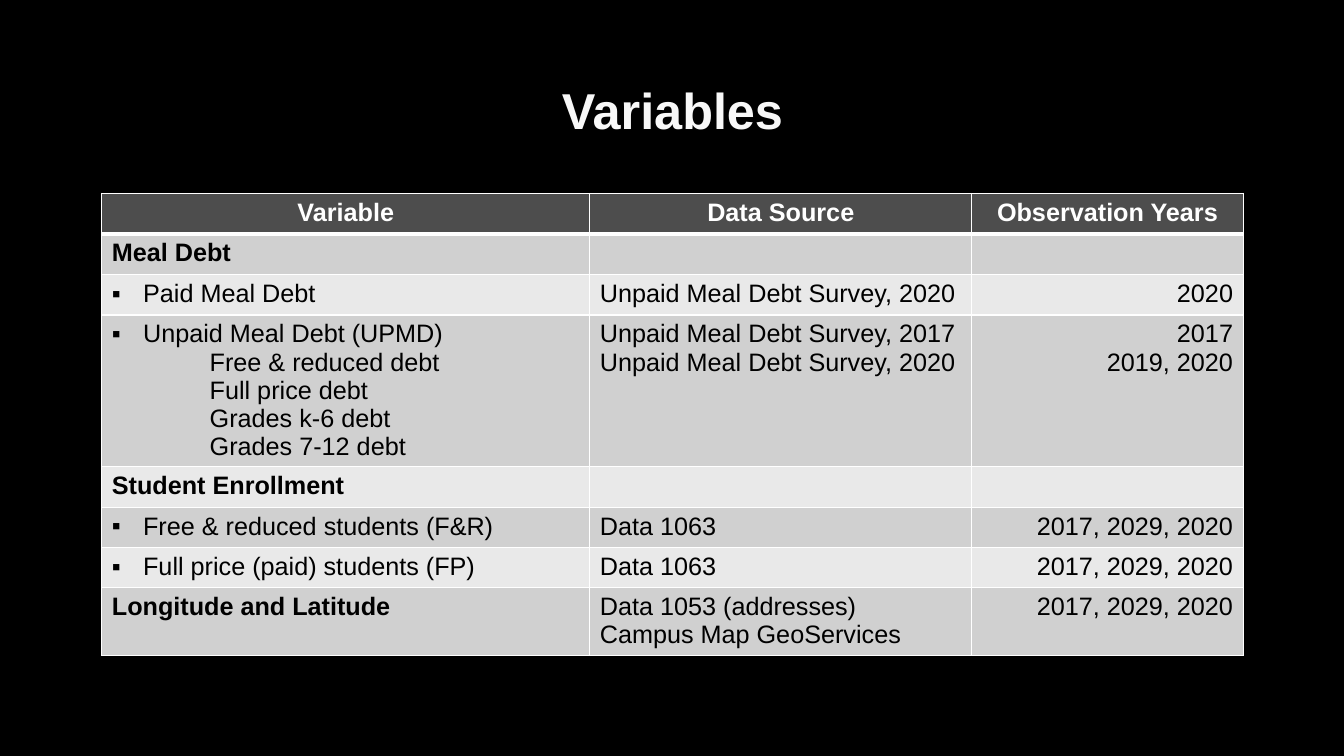
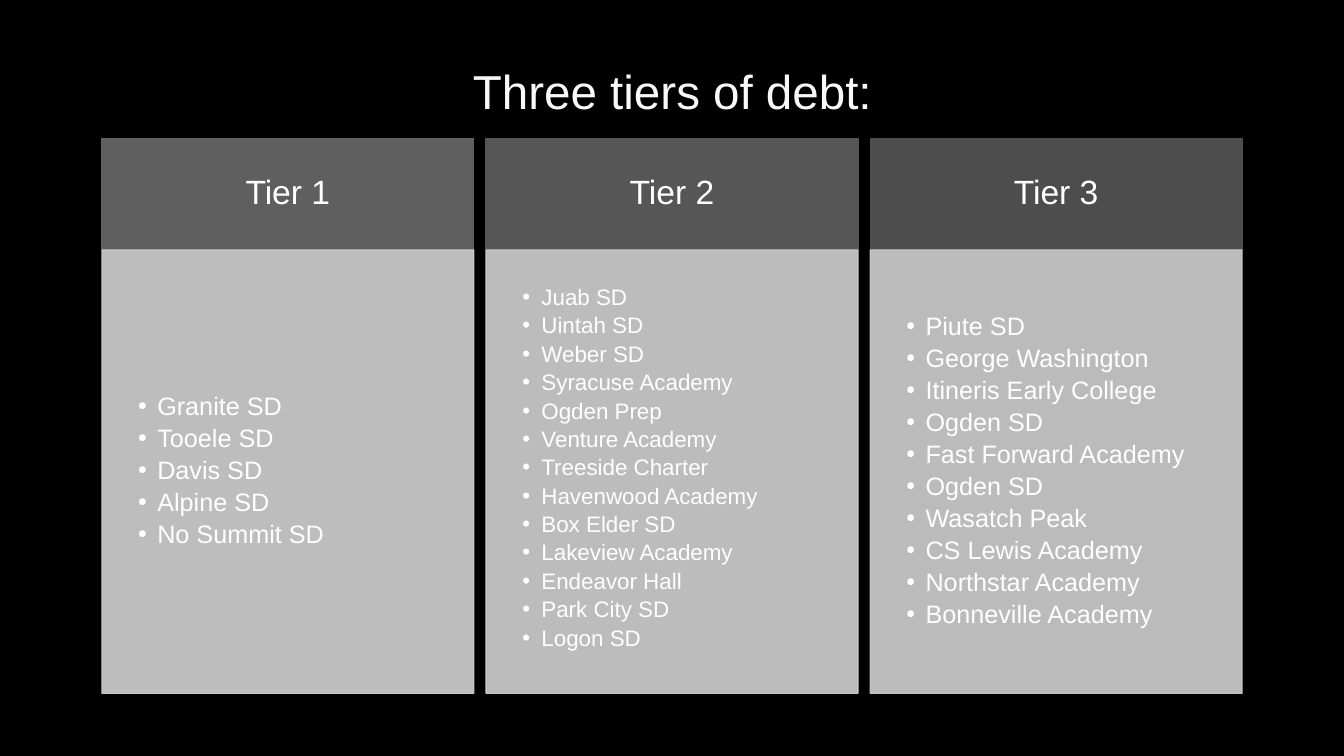
from lxml import etree
from pptx import Presentation
from pptx.dml.color import RGBColor
from pptx.enum.shapes import MSO_SHAPE
from pptx.enum.text import MSO_ANCHOR, MSO_AUTO_SIZE, PP_ALIGN
from pptx.oxml.ns import qn
from pptx.util import Inches, Pt

LEFT, CENTER, RIGHT = PP_ALIGN.LEFT, PP_ALIGN.CENTER, PP_ALIGN.RIGHT
TOP, MIDDLE = MSO_ANCHOR.TOP, MSO_ANCHOR.MIDDLE
NO_FIT = MSO_AUTO_SIZE.NONE
RECT = MSO_SHAPE.RECTANGLE

FONT = "Arial"
BLACK, WHITE, TITLE_COLOR = "000000", "FFFFFF", "F8F8F8"
HEADER_FILL = "4D4D4D"
BAND_FILLS = ["D0D0D0", "E9E9E9"]
MARGIN, CONTENT_WIDTH = 1.01, 11.32

COLUMN_WIDTHS = [4.84, 3.79, 2.69]
COLUMN_ALIGNS = [LEFT, LEFT, RIGHT]
HEADERS = ["Variable", "Data Source", "Observation Years"]
ALL_YEARS = ["2017, 2029, 2020"]
VARIABLES = [
    (True, ["Meal Debt"], [], []),
    (False, ["Paid Meal Debt"], ["Unpaid Meal Debt Survey, 2020"], ["2020"]),
    (False,
     ["Unpaid Meal Debt (UPMD)", "Free & reduced debt", "Full price debt",
      "Grades k-6 debt", "Grades 7-12 debt"],
     ["Unpaid Meal Debt Survey, 2017", "Unpaid Meal Debt Survey, 2020"],
     ["2017", "2019, 2020"]),
    (True, ["Student Enrollment"], [], []),
    (False, ["Free & reduced students (F&R)"], ["Data 1063"], ALL_YEARS),
    (False, ["Full price (paid) students (FP)"], ["Data 1063"], ALL_YEARS),
    (True, ["Longitude and Latitude"],
     ["Data 1053 (addresses)", "Campus Map GeoServices"], ALL_YEARS),
]

TIERS = [
    ("Tier 1", "5F5F5F", "D2D2D2", 18, MIDDLE,
     ["Granite SD", "Tooele SD", "Davis SD", "Alpine SD", "No Summit SD"]),
    ("Tier 2", "565656", "D1D1D1", 16, TOP,
     ["Juab SD", "Uintah SD", "Weber SD", "Syracuse Academy", "Ogden Prep",
      "Venture Academy", "Treeside Charter", "Havenwood Academy",
      "Box Elder SD", "Lakeview Academy", "Endeavor Hall", "Park City SD",
      "Logon SD"]),
    ("Tier 3", "4D4D4D", "D0D0D0", 18, MIDDLE,
     ["Piute SD", "George Washington", "Itineris Early College", "Ogden SD",
      "Fast Forward Academy", "Ogden SD", "Wasatch Peak", "CS Lewis Academy",
      "Northstar Academy", "Bonneville Academy"]),
]


def rgb(value):
    return RGBColor.from_string(value)


def paint(fill, color):
    fill.solid()
    fill.fore_color.rgb = rgb(color)


def indent(p, left, bullet=None):
    pPr = p._p.get_or_add_pPr()
    pPr.set("marL", str(Inches(left)))
    pPr.set("indent", str(-Inches(left) if bullet else 0))
    if bullet:
        etree.SubElement(pPr, qn("a:buFont")).set("typeface", FONT)
        etree.SubElement(pPr, qn("a:buChar")).set("char", bullet)


def set_border(cell, side, points):
    ln = etree.SubElement(cell._tc.get_or_add_tcPr(), qn(f"a:ln{side}"))
    ln.set("w", str(Pt(points)))
    fill = etree.SubElement(ln, qn("a:solidFill"))
    etree.SubElement(fill, qn("a:srgbClr")).set("val", WHITE)


class Deck:
    def __init__(self):
        self.prs = Presentation()
        self.prs.slide_width = Inches(13.33)
        self.prs.slide_height = Inches(7.5)
        paint(self.prs.slide_master.background.fill, BLACK)
        self.slide = None

    def set_text(self, tf, lines, size, color, align=LEFT, bold=False, spacing=None):
        tf.text = "\n".join(lines)
        for p in tf.paragraphs:
            p.alignment = align
            if spacing:
                p.line_spacing = spacing
            for r in p.runs:
                r.font.name = FONT
                r.font.size = Pt(size)
                r.font.bold = bold
                r.font.color.rgb = rgb(color)

    def add_slide(self, title, top, height, size, bold=False):
        self.slide = self.prs.slides.add_slide(self.prs.slide_layouts[5])
        sp = self.slide.shapes.title
        sp.left, sp.top = Inches(MARGIN), Inches(top)
        sp.width, sp.height = Inches(CONTENT_WIDTH), Inches(height)
        tf = sp.text_frame
        tf.vertical_anchor = MIDDLE
        tf.auto_size = NO_FIT
        self.set_text(tf, [title], size, TITLE_COLOR, CENTER, bold, 0.9)

    def panel(self, left, top, width, height, color, inset, opacity=100):
        sp = self.slide.shapes.add_shape(
            RECT, Inches(left), Inches(top), Inches(width), Inches(height))
        sp.shadow.inherit = False
        paint(sp.fill, color)
        paint(sp.line.fill, color)
        sp.line.width = Pt(0.75)
        if opacity < 100:
            for clr in sp._element.spPr.iter(qn("a:srgbClr")):
                etree.SubElement(clr, qn("a:alpha")).set("val", str(opacity * 1000))
        tf = sp.text_frame
        tf.word_wrap = True
        tf.vertical_anchor = MIDDLE
        tf.margin_left = tf.margin_right = Inches(inset)
        tf.margin_top = tf.margin_bottom = Inches(inset)
        return tf

    def tier(self, left, name, header_fill, body_fill, size, anchor, members):
        width, top, header_height = 3.69, 1.37, 1.11
        tf = self.panel(left, top, width, header_height, header_fill, 0.29)
        self.set_text(tf, [name], 24, WHITE, CENTER, spacing=0.9)
        tf = self.panel(left, top + header_height, width, 4.4, body_fill, 0.36, 90)
        tf.vertical_anchor = anchor
        self.set_text(tf, members, size, WHITE, spacing=0.9)
        for p in tf.paragraphs:
            p.space_after = Pt(round(size * 0.19, 1))
            indent(p, 0.19, "•")

    def cell(self, cell, lines, fill, color, align, bold, top=1, bottom=1):
        for side, points in (("L", 1), ("R", 1), ("T", top), ("B", bottom)):
            set_border(cell, side, points)
        paint(cell.fill, fill)
        self.set_text(cell.text_frame, lines, 18, color, align, bold)

    def variable_table(self, top):
        heights = [0.4] + [0.4 + 0.27 * (max(map(len, row[1:])) - 1)
                           for row in VARIABLES]
        table = self.slide.shapes.add_table(
            len(heights), len(HEADERS), Inches(MARGIN), Inches(top),
            Inches(CONTENT_WIDTH), Inches(sum(heights))).table
        for column, width in zip(table.columns, COLUMN_WIDTHS):
            column.width = Inches(width)
        for row, height in zip(table.rows, heights):
            row.height = Inches(height)
        for c, header in enumerate(HEADERS):
            self.cell(table.cell(0, c), [header], HEADER_FILL, WHITE, CENTER,
                      True, bottom=3)
        for r, (heading, *texts) in enumerate(VARIABLES, 1):
            for c, (lines, align) in enumerate(zip(texts, COLUMN_ALIGNS)):
                self.cell(table.cell(r, c), lines, BAND_FILLS[(r - 1) % 2], BLACK,
                          align, heading and c == 0, top=3 if r == 1 else 1)
            if not heading:
                first, *rest = table.cell(r, 0).text_frame.paragraphs
                indent(first, 0.31, "▪")
                for p in rest:
                    indent(p, 0.97)


def main():
    deck = Deck()
    deck.add_slide("Variables", 0.64, 0.96, 36, bold=True)
    deck.variable_table(1.92)
    deck.add_slide("Three tiers of debt:", 0.24, 1.38, 34)
    for i, tier in enumerate(TIERS):
        deck.tier(MARGIN + 3.81 * i, *tier)
    deck.prs.save("out.pptx")


if __name__ == "__main__":
    main()
